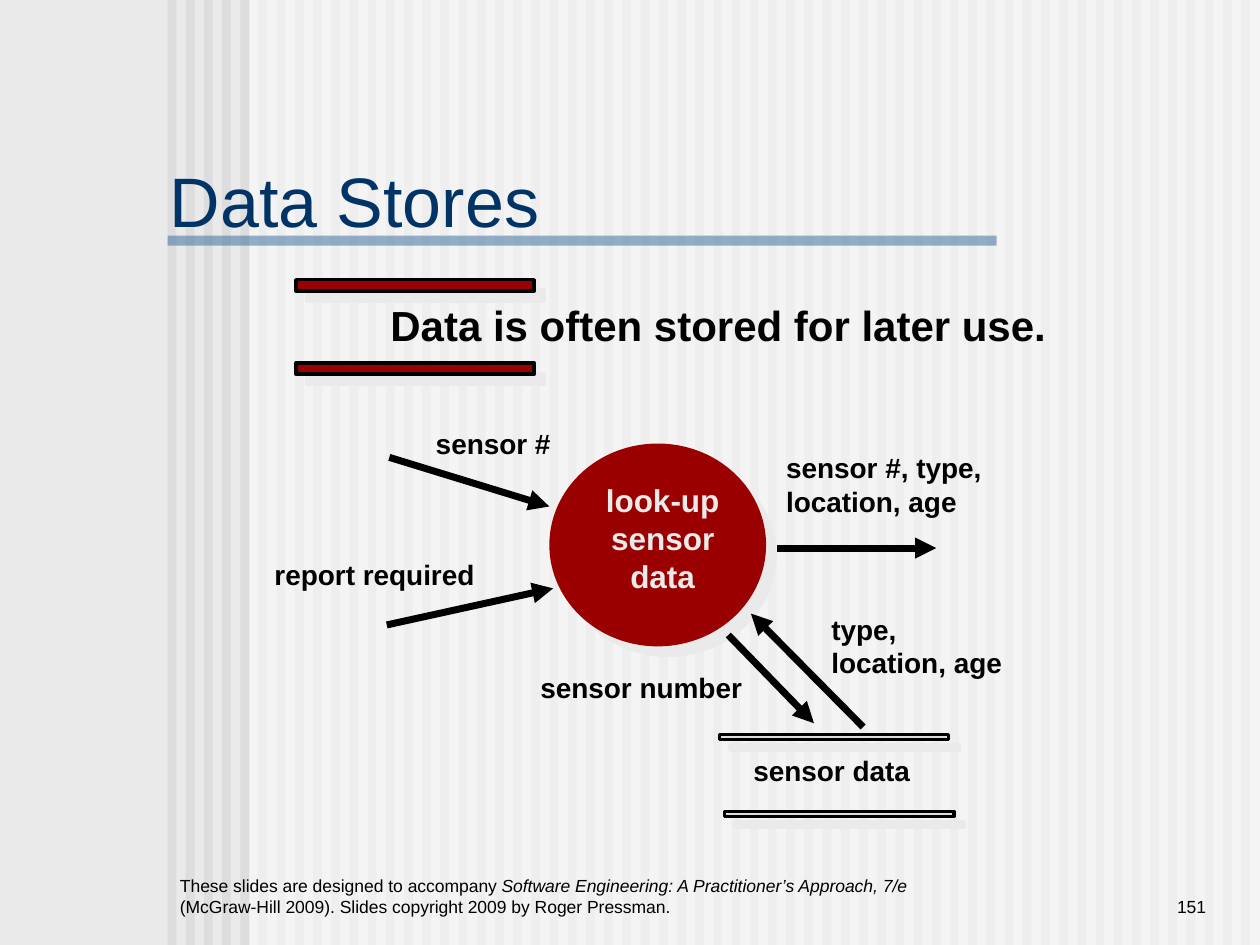
from lxml import etree
from pptx import Presentation
from pptx.dml.color import RGBColor
from pptx.enum import shapes, text
from pptx.oxml.ns import qn
from pptx.util import Inches, Pt

BACK = RGBColor(0xEA, 0xEA, 0xEA)
STRIPE = RGBColor(0xDD, 0xDD, 0xDD)
WHITE = RGBColor(0xFF, 0xFF, 0xFF)
BLUE = RGBColor(0x33, 0x66, 0x99)
NAVY = RGBColor(0x00, 0x33, 0x66)
RED = RGBColor(0x9A, 0x00, 0x00)
BLACK = RGBColor(0, 0, 0)
RECT, OVAL = shapes.MSO_SHAPE.RECTANGLE, shapes.MSO_SHAPE.OVAL
LEFT, CENTER, RIGHT = text.PP_ALIGN.LEFT, text.PP_ALIGN.CENTER, text.PP_ALIGN.RIGHT
TOP, MIDDLE, BOTTOM = text.MSO_ANCHOR.TOP, text.MSO_ANCHOR.MIDDLE, text.MSO_ANCHOR.BOTTOM

# Content: boxes are (left, top, width, height) in inches
TITLE = "Data Stores"
STATEMENT = "Data is often stored for later use."
PROCESS = ["look-up", "sensor", "data"]
FOOTER = [
    ("These slides are designed to accompany ", False),
    ("Software Engineering: A Practitioner’s Approach, 7/e ", True),
    ("(McGraw-Hill 2009). Slides copyright 2009 by Roger Pressman.", False),
]
PAGE = "151"
LABELS = [
    (["sensor #"], (3.36, 3.34, 1.11, 0.36)),
    (["report required"], (2.08, 4.38, 1.79, 0.36)),
    (["sensor #, type,", "location, age"], (6.14, 3.53, 1.82, 0.63)),
    (["sensor data"], (5.88, 5.93, 1.45, 0.36)),
    (["sensor number"], (4.19, 5.27, 1.8, 0.36)),
    (["type,", "location, age"], (6.5, 4.81, 1.56, 0.63)),
]
STORE_BARS = [
    ((2.35, 2.22, 1.89, 0.09), RED),
    ((2.35, 2.88, 1.89, 0.09), RED),
    ((5.71, 5.83, 1.82, 0.04), STRIPE),
    ((5.75, 6.44, 1.82, 0.04), STRIPE),
]
ARROWS = [  # start, end
    ((3.09, 3.63), (4.36, 4.02)),
    ((3.07, 4.96), (4.39, 4.67)),
    ((6.17, 4.35), (7.43, 4.35)),
    ((5.78, 5.04), (6.46, 5.74)),
    ((6.85, 5.77), (5.96, 4.87)),
]
STRIPES, FIRST_STRIPE, LAST_STRIPE = 60, 1.33, 9.85


def add_shape(s, kind, box, fill, alpha=None, line=None, shadow=False):
    sp = s.shapes.add_shape(kind, *map(Inches, box))
    sp.fill.solid()
    sp.fill.fore_color.rgb = fill
    if alpha:
        color = sp._element.spPr.find(qn("a:solidFill"))[0]
        etree.SubElement(color, qn("a:alpha"), val=str(alpha * 1000))
    if line is None:
        sp.line.fill.background()
    else:
        sp.line.color.rgb = line
        sp.line.width = Pt(2)
    sp.shadow.inherit = False
    if shadow:
        effects = sp._element.spPr.find(qn("a:effectLst"))
        outer = etree.SubElement(effects, qn("a:outerShdw"), dist=str(Pt(8.5)),
                                 dir=str(45 * 60000), algn="ctr", rotWithShape="0")
        etree.SubElement(outer, qn("a:srgbClr"), val=str(BACK))
    return sp


def add_text(s, lines, box, size, color=BLACK, bold=False, align=LEFT,
             anchor=TOP, wrap=False):
    """Each line is a string or a list of (text, italic) runs."""
    tf = s.shapes.add_textbox(*map(Inches, box)).text_frame
    tf.word_wrap = wrap
    if not wrap:
        tf.auto_size = text.MSO_AUTO_SIZE.SHAPE_TO_FIT_TEXT
    tf.vertical_anchor = anchor
    for i, line in enumerate(lines):
        p = tf.paragraphs[0] if i == 0 else tf.add_paragraph()
        p.alignment = align
        for words, italic in [(line, False)] if isinstance(line, str) else line:
            r = p.add_run()
            r.text = words
            r.font.name = "Arial"
            r.font.size = Pt(size)
            r.font.bold = bold
            r.font.italic = italic
            r.font.color.rgb = color


def add_arrow(s, start, end):
    c = s.shapes.add_connector(shapes.MSO_CONNECTOR.STRAIGHT,
                               *map(Inches, start + end))
    c.line.color.rgb = BLACK
    c.line.width = Pt(4)
    etree.SubElement(c.line._get_or_add_ln(), qn("a:tailEnd"), type="triangle")
    etree.SubElement(c._element.spPr, qn("a:effectLst"))


prs = Presentation()
prs.slide_width, prs.slide_height = Inches(10), Inches(7.5)
s = prs.slides.add_slide(prs.slide_layouts[6])
s.background.fill.solid()
s.background.fill.fore_color.rgb = BACK

# Striped backdrop, veil and title rule
pitch = (LAST_STRIPE - FIRST_STRIPE) / (STRIPES - 1)
for i in range(STRIPES):
    add_shape(s, RECT, (FIRST_STRIPE + i * pitch, 0, 0.07, 7.5), STRIPE)
add_shape(s, RECT, (1.98, 0, 8.02, 7.5), WHITE, alpha=50)
add_shape(s, RECT, (1.33, 1.87, 6.58, 0.08), BLUE, alpha=50)

# Footer, page number and title
add_text(s, [FOOTER], (1.33, 6.83, 6, 0.5), 10, anchor=BOTTOM, wrap=True)
add_text(s, [PAGE], (8.25, 6.83, 1.42, 0.5), 10, align=RIGHT, anchor=BOTTOM, wrap=True)
add_text(s, [TITLE], (1.25, 1.25, 5.28, 0.67), 40, NAVY, anchor=MIDDLE, wrap=True)

# Data stores and process
for box, fill in STORE_BARS:
    add_shape(s, RECT, box, fill, line=BLACK, shadow=True)
add_text(s, [STATEMENT], (3, 2.33, 5.5, 0.5), 24, bold=True, wrap=True)
add_shape(s, OVAL, (4.36, 3.52, 1.72, 1.61), RED, shadow=True)
add_text(s, PROCESS, (4.71, 3.77, 1.1, 1.3), 18, BACK, bold=True, align=CENTER)

# Data flows and their labels
for start, end in ARROWS:
    add_arrow(s, start, end)
for lines, box in LABELS:
    add_text(s, lines, box, 16, bold=True)

prs.save("out.pptx")
